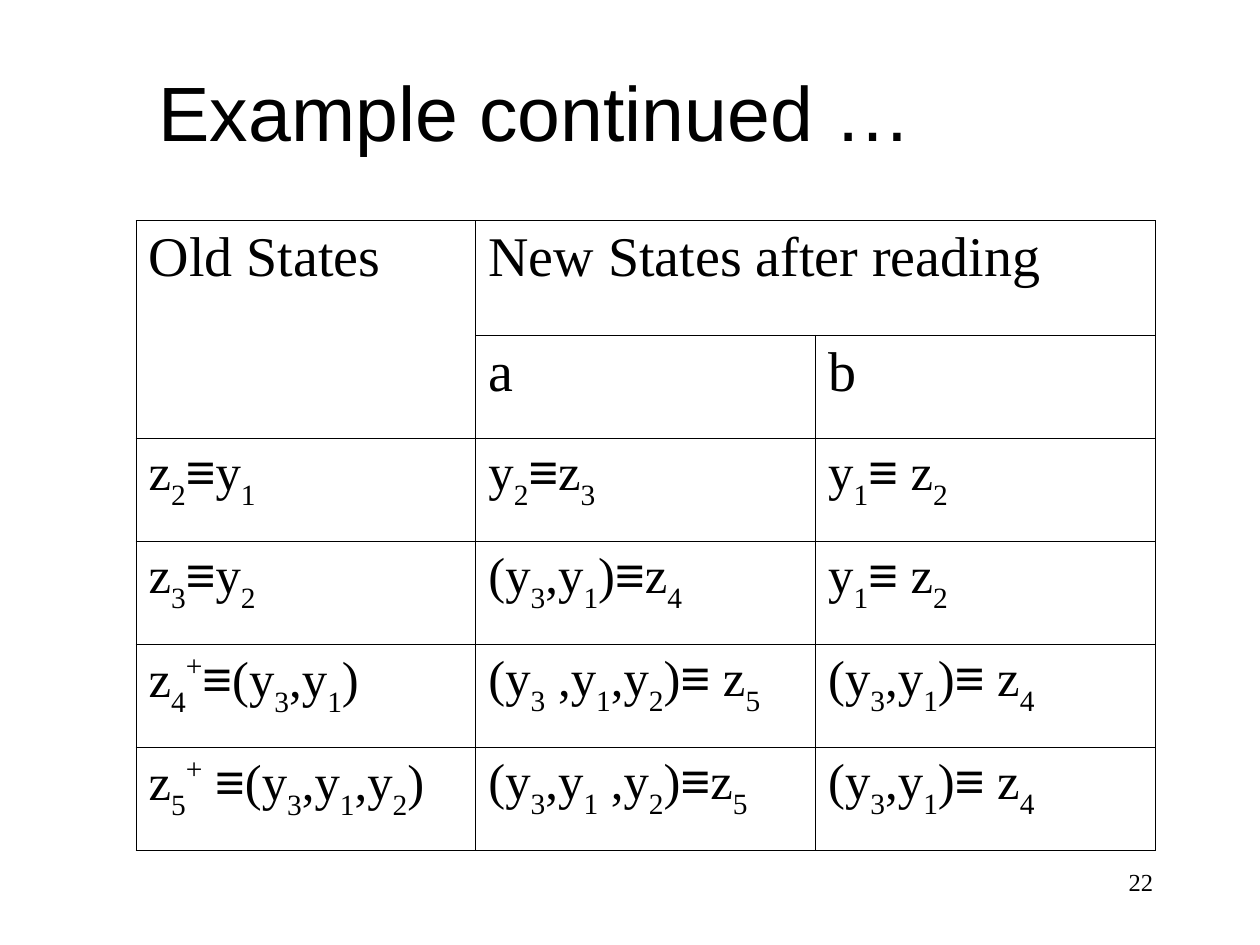
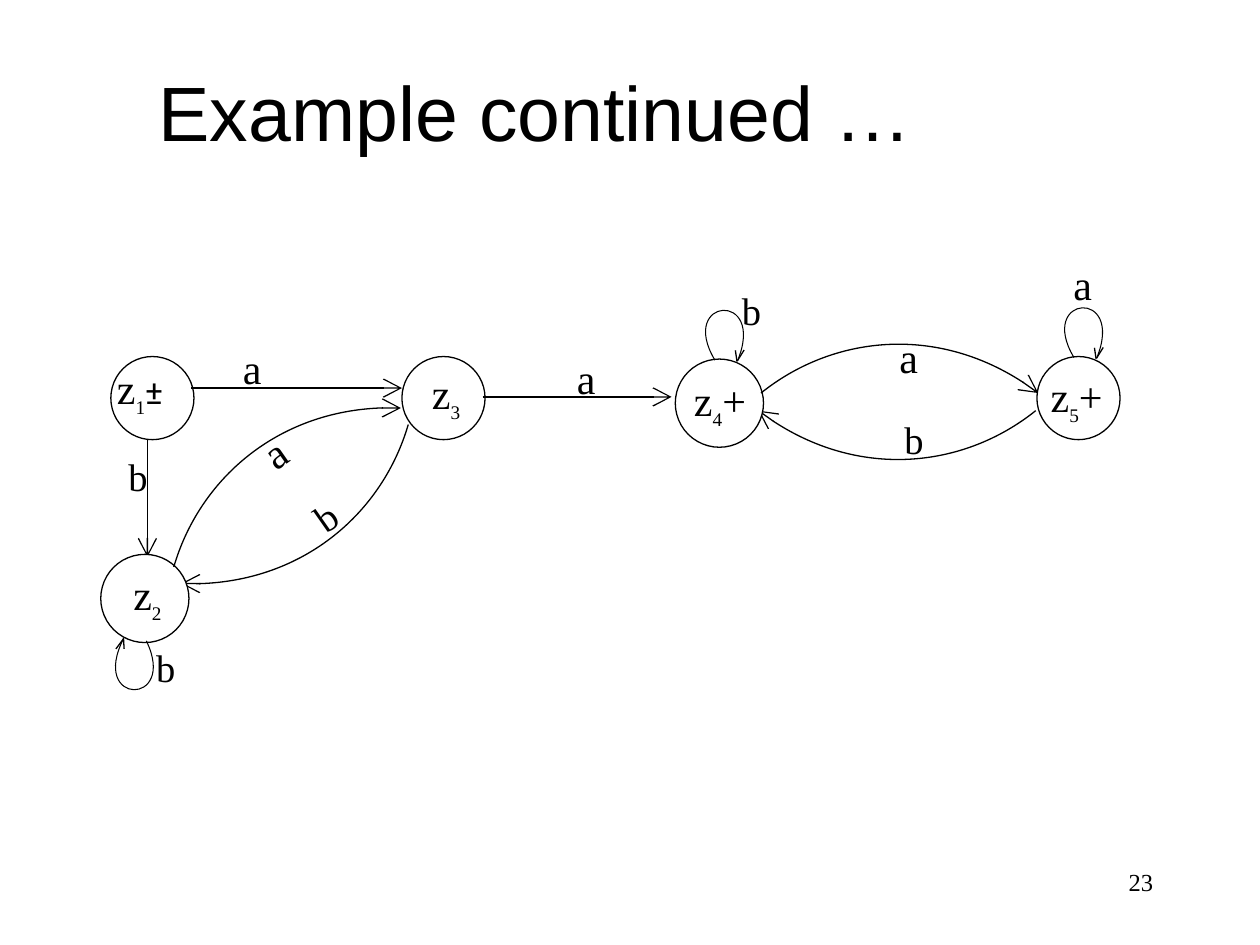
import itertools
from dataclasses import dataclass

import pptx
import pptx.dml.color
import pptx.enum.shapes
import pptx.enum.text
import pptx.oxml
import pptx.oxml.ns
import pptx.util

BLACK = pptx.dml.color.RGBColor(0, 0, 0)
WHITE = pptx.dml.color.RGBColor(255, 255, 255)
SERIF, SANS = "Times New Roman", "Arial"
SYMBOL_FONTS = {"≡": SANS, "±": "Roboto"}
BASELINES = {"_": -30000, "^": 40000}  # each mark switches its baseline on and off

TITLE = "Example continued …"
FIRST_NUMBER = 22
TITLE_ONLY = 5

TABLE_ROWS = [
    ["Old States", "New States after reading", ""],
    ["", "a", "b"],
    ["z_2_≡y_1_", "y_2_≡z_3_", "y_1_≡ z_2_"],
    ["z_3_≡y_2_", "(y_3_,y_1_)≡z_4_", "y_1_≡ z_2_"],
    ["z_4_^+^≡(y_3_,y_1_)", "(y_3_ ,y_1_,y_2_)≡ z_5_", "(y_3_,y_1_)≡ z_4_"],
    ["z_5_^+^ ≡(y_3_,y_1_,y_2_)", "(y_3_,y_1_ ,y_2_)≡z_5_", "(y_3_,y_1_)≡ z_4_"],
]
HEADER_ROWS = 2

# Diagram places are columns and rows of this grid
DIAGRAM_COLUMNS, DIAGRAM_ROWS = 84, 37
STATES = [  # label, circle left, top, diameter, label left, top
    ("z_1_±", 0.8, 8.3, 6.6, 0.3, 8.3),
    ("z_2_", 0, 24, 7, 1.6, 24.6),
    ("z_3_", 23.9, 8.3, 6.6, 25.3, 8.7),
    ("z_4_+", 45.6, 8.5, 7, 46.1, 9.2),
    ("z_5_+", 74.3, 8.3, 6.6, 74.4, 8.9),
]
DOWN_EDGE = ((3.7, 12.5), (3.7, 24.2))
ACROSS_EDGES = [((7.2, 10.8), (23.9, 10.8)), ((30.3, 11.5), (45.3, 11.5))]

TILT = -35
ARC = ((0, 5.6), (5.6, 1.1), (14.7, 0), (22, 5.6))
RETURN_ARC = tuple((22 - x, 5.6 - y) for x, y in ARC)
FORWARD_EDGES = [(52.4, 5.6, 0), (2.2, 13.6, TILT)]  # left, top, rotation
RETURN_EDGES = [(52.2, 12.6, 0), (6, 19.5, TILT)]

LOOP = ((3.4, 5.9), (0, 1.2), (7, 0), (5.2, 5.8))
BARBS = [((0, 0.8), (0.6, 0)), ((0, 0), (0.05, 0.9))]
UPPER_BARBS, LOWER_BARBS = [(4.9, 5.1), (4.8, 5.1)], [(1.7, -0.1), (2.3, -0.2)]
LOOPS = [  # left, top, rotation, barb places, barb rotation
    (45.6, 2.7, 5, UPPER_BARBS, -5),
    (74.1, 2.5, 5, UPPER_BARBS, -5),
    (-0.5, 30.8, 190, LOWER_BARBS, 180),
]

LETTER_STYLES = {"a": (7.5, 5.4, 24), "b": (10.1, 4.1, 22)}  # width, height, size
EDGE_LETTERS = [
    ("a", 10.3, 6.7, 0), ("a", 36.8, 7.5, 0), ("a", 62.4, 5.8, 0),
    ("a", 76.2, 0, 0), ("a", 11.8, 12.2, TILT),
    ("b", 1.2, 15.5, 0), ("b", 3.4, 30.6, 0), ("b", 49.9, 2.3, 0),
    ("b", 62.8, 12.5, 0), ("b", 15.3, 16.8, TILT),
]


@dataclass
class Box:
    """A region in inches, split into columns and rows."""
    left: float
    top: float
    width: float
    height: float
    columns: float = 1
    rows: float = 1

    def point(self, column, row):
        return (pptx.util.Inches(self.left + column * self.width / self.columns),
                pptx.util.Inches(self.top + row * self.height / self.rows))

    def area(self, column=0, row=0, column_span=1, row_span=1):
        return (*self.point(column, row),
                pptx.util.Inches(column_span * self.width / self.columns),
                pptx.util.Inches(row_span * self.height / self.rows))


TITLE_BOX = Box(0, 0.25, 8.5, 1.25)
NUMBER_BOX = Box(7.17, 6.83, 2.08, 0.5)
TABLE_BOX = Box(1.08, 1.75, 8.09, 5, columns=3)
DIAGRAM_BOX = Box(0.8, 2, 8.4, 3.7, DIAGRAM_COLUMNS, DIAGRAM_ROWS)


# Text
def style_run(run, size, font=SERIF):
    run.font.size = pptx.util.Pt(size)
    run.font.name = font
    run.font.color.rgb = BLACK


def write_formula(paragraph, formula, size, small_size=None):
    """Write text whose sub- and superscripts stand between _ and ^ marks."""
    baseline, pieces = 0, []
    for character in formula:
        if character in BASELINES:
            baseline = 0 if baseline else BASELINES[character]
        else:
            pieces.append((character, baseline, SYMBOL_FONTS.get(character, SERIF)))
    for (baseline, font), group in itertools.groupby(pieces, key=lambda piece: piece[1:]):
        run = paragraph.add_run()
        run.text = "".join(piece[0] for piece in group)
        small = baseline or run.text == "±"
        style_run(run, small_size if small and small_size else size, font)
        if baseline:
            run.font._element.set("baseline", str(baseline))


def add_text(slide, area, formula, size, small_size=None):
    text_box = slide.shapes.add_textbox(*area)
    text_box.text_frame.word_wrap = True
    write_formula(text_box.text_frame.paragraphs[0], formula, size, small_size)
    return text_box


# Lines
def style_line(shape, width=0.75, arrow=False):
    shape.line.color.rgb = BLACK
    shape.line.width = pptx.util.Pt(width)
    if arrow:
        shape.line._get_or_add_ln().append(pptx.oxml.parse_xml(
            f'<a:tailEnd {pptx.oxml.ns.nsdecls("a")} type="arrow" w="lg" len="lg"/>'))


def add_outline(slide, box, points, left, top, rotation, width=0.75, arrow=False):
    """Draw two points as a stroke, or four as a cubic curve."""
    start, *others = [box.point(left + x, top + y) for x, y in points]
    builder = slide.shapes.build_freeform(*start)
    builder.add_line_segments(others, close=False)
    outline = builder.convert_to_shape()
    if len(others) == 3:
        segments = list(outline._element.iter(pptx.oxml.ns.qn("a:lnTo")))
        curve = pptx.oxml.parse_xml(f'<a:cubicBezTo {pptx.oxml.ns.nsdecls("a")}/>')
        segments[0].addprevious(curve)
        for segment in segments:
            curve.append(segment[0])
            segment.getparent().remove(segment)
    outline.rotation = rotation
    outline.fill.background()
    outline.shadow.inherit = False
    style_line(outline, width, arrow)


def add_arrow(slide, box, start, end):
    connector = slide.shapes.add_connector(
        pptx.enum.shapes.MSO_CONNECTOR.STRAIGHT, *box.point(*start), *box.point(*end))
    style_line(connector, arrow=True)
    connector._element.spPr.append(
        pptx.oxml.parse_xml(f'<a:effectLst {pptx.oxml.ns.nsdecls("a")}/>'))


# Slide frame: title and number
def add_framed_slide(presentation, number):
    slide = presentation.slides.add_slide(presentation.slide_layouts[TITLE_ONLY])
    title = slide.shapes.title
    title.left, title.top, title.width, title.height = TITLE_BOX.area()
    title.text_frame.text = TITLE
    title.text_frame.vertical_anchor = pptx.enum.text.MSO_ANCHOR.MIDDLE
    paragraph = title.text_frame.paragraphs[0]
    paragraph.alignment = pptx.enum.text.PP_ALIGN.CENTER
    style_run(paragraph.runs[0], 44, SANS)

    number_text = add_text(slide, NUMBER_BOX.area(), str(number), 14)
    number_text.text_frame.paragraphs[0].alignment = pptx.enum.text.PP_ALIGN.RIGHT
    return slide


# Transition table
def outline_cell(cell):
    cell.fill.background()
    for position, side in enumerate("LRTB"):
        border = pptx.oxml.parse_xml(
            f'<a:ln{side} {pptx.oxml.ns.nsdecls("a")} w="{pptx.util.Pt(0.45)}"><a:solidFill>'
            f'<a:srgbClr val="{BLACK}"/></a:solidFill></a:ln{side}>')
        cell._tc.get_or_add_tcPr().insert(position, border)


def add_transition_table(slide, box):
    table = slide.shapes.add_table(
        len(TABLE_ROWS), box.columns, *box.area(0, 0, box.columns)).table
    table.first_row = table.horz_banding = False
    first_height = 0.91
    other_height = (box.height - first_height) / (len(TABLE_ROWS) - 1)
    for index, row in enumerate(table.rows):
        row.height = pptx.util.Inches(other_height if index else first_height)
    for row_index, formulas in enumerate(TABLE_ROWS):
        for column_index, formula in enumerate(formulas):
            cell = table.cell(row_index, column_index)
            outline_cell(cell)
            size = 32 if row_index < HEADER_ROWS else 29
            write_formula(cell.text_frame.paragraphs[0], formula, size)
    table.cell(0, 0).merge(table.cell(1, 0))
    table.cell(0, 1).merge(table.cell(0, 2))


# State diagram
def add_state(slide, box, label, left, top, diameter, label_left, label_top):
    circle = slide.shapes.add_shape(
        pptx.enum.shapes.MSO_SHAPE.OVAL, *box.area(left, top, diameter, diameter))
    circle.fill.solid()
    circle.fill.fore_color.rgb = WHITE
    circle.shadow.inherit = False
    style_line(circle)
    add_text(slide, box.area(label_left, label_top, 8, 4.5), label, 24, 19)


def add_loop(slide, box, left, top, rotation, barb_places, barb_rotation):
    add_outline(slide, box, LOOP, left, top, rotation, width=0.6)
    for barb, (column, row) in zip(BARBS, barb_places):
        add_outline(slide, box, barb, left + column, top + row, barb_rotation)


def add_state_diagram(slide, box):
    # Edges whose ends lie behind the circles
    add_arrow(slide, box, *DOWN_EDGE)
    for place in RETURN_EDGES:
        add_outline(slide, box, RETURN_ARC, *place, arrow=True)

    for state in STATES:
        add_state(slide, box, *state)

    # Edges in front
    for edge in ACROSS_EDGES:
        add_arrow(slide, box, *edge)
    for place in FORWARD_EDGES:
        add_outline(slide, box, ARC, *place, arrow=True)
    for loop in LOOPS:
        add_loop(slide, box, *loop)

    for letter, left, top, rotation in EDGE_LETTERS:
        width, height, size = LETTER_STYLES[letter]
        text_box = add_text(slide, box.area(left, top, width, height), letter, size)
        text_box.rotation = rotation


def main():
    presentation = pptx.Presentation()
    presentation.slide_width = pptx.util.Inches(10)
    presentation.slide_height = pptx.util.Inches(7.5)
    regions = [(add_transition_table, TABLE_BOX), (add_state_diagram, DIAGRAM_BOX)]
    for number, (add_region, box) in enumerate(regions, FIRST_NUMBER):
        add_region(add_framed_slide(presentation, number), box)
    presentation.save("out.pptx")


if __name__ == "__main__":
    main()
